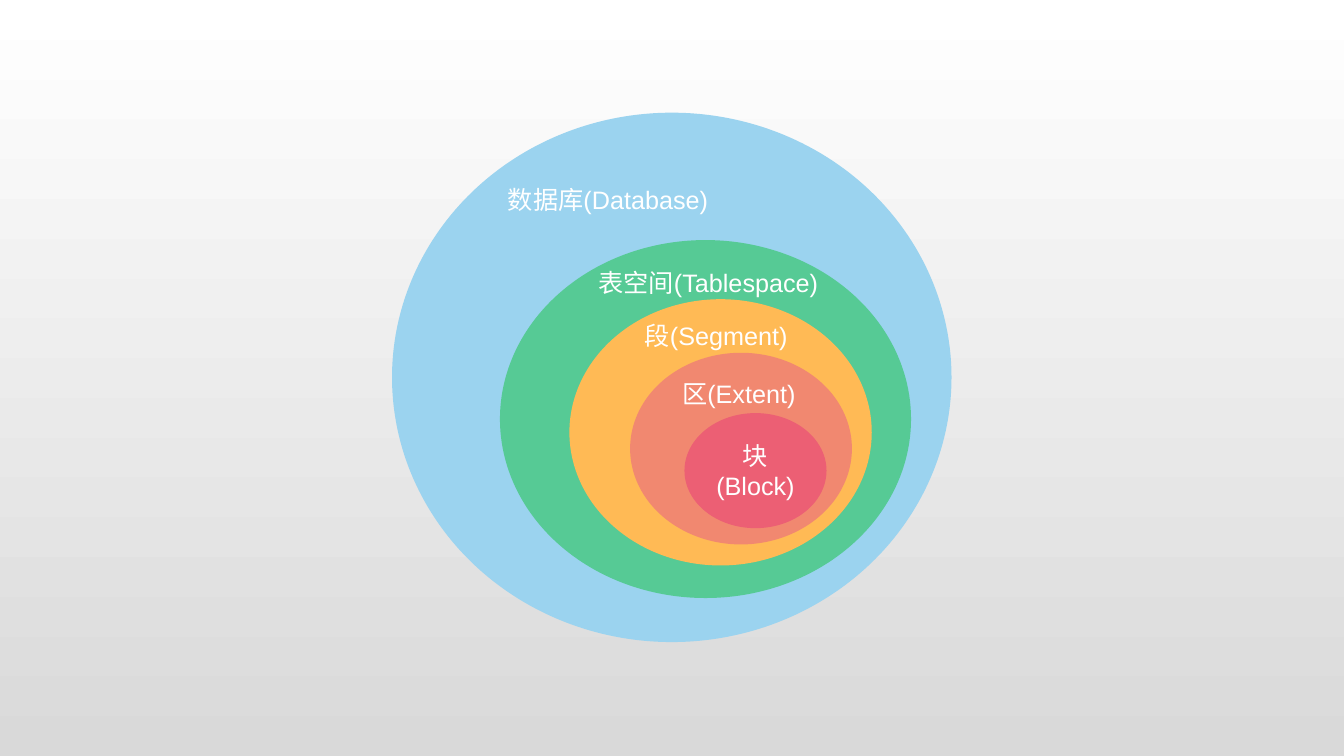
import dataclasses

import pptx
import pptx.dml.color
import pptx.enum.shapes
import pptx.enum.text
import pptx.util

Cm = pptx.util.Cm


@dataclasses.dataclass(frozen=True)
class Theme:
    font: str = "Arial"
    size: int = 18
    text: str = "FFFFFF"
    top: str = "FFFFFF"
    base: str = "D9D9D9"
    data: str = "9BD3EF"
    space: str = "56CA95"
    segment: str = "FFBA55"
    extent: str = "F18870"
    block: str = "EC5F74"


THEME = Theme()

# Nested storage levels, outermost first: colour, left, top, width, height in cm
RINGS = [
    (THEME.data, 9.88, 2.84, 14.1, 13.34),
    (THEME.space, 12.6, 6.05, 10.36, 9.02),
    (THEME.segment, 14.35, 7.54, 7.62, 6.71),
    (THEME.extent, 15.88, 8.89, 5.59, 4.83),
    (THEME.block, 17.25, 10.41, 3.58, 2.9),
]

# Level names: text, left, top, width in cm
LABELS = [
    ("区(Extent)", 16.94, 9.4, 3.43),
    ("段(Segment)", 16, 7.95, 4.37),
    ("表空间(Tablespace)", 14.83, 6.6, 6.6),
    ("数据库(Database)", 12.55, 4.52, 5.87),
]
LABEL_HEIGHT = 1.02


def tint(code):
    return pptx.dml.color.RGBColor.from_string(code)


def paint_back(slide):
    fill = slide.background.fill
    fill.gradient()
    fill.gradient_angle = 270
    for stop, code, spot in zip(fill.gradient_stops, (THEME.top, THEME.base), (0, 1)):
        stop.color.rgb = tint(code)
        stop.position = spot


def write(shape, text):
    frame = shape.text_frame
    frame.word_wrap = True
    frame.text = text
    font = frame.paragraphs[0].runs[0].font
    font.name = THEME.font
    font.size = pptx.util.Pt(THEME.size)
    font.color.rgb = tint(THEME.text)
    return frame


def add_ring(slide, code, *box):
    oval = pptx.enum.shapes.MSO_SHAPE.OVAL
    ring = slide.shapes.add_shape(oval, *map(Cm, box))
    ring.shadow.inherit = False
    ring.fill.solid()
    ring.fill.fore_color.rgb = tint(code)
    ring.line.fill.background()
    return ring


def add_label(slide, text, left, top, width):
    box = slide.shapes.add_textbox(*map(Cm, (left, top, width, LABEL_HEIGHT)))
    frame = write(box, text)
    frame.auto_size = pptx.enum.text.MSO_AUTO_SIZE.SHAPE_TO_FIT_TEXT


def main():
    deck = pptx.Presentation()
    deck.slide_width, deck.slide_height = Cm(33.87), Cm(19.05)
    slide = deck.slides.add_slide(deck.slide_layouts[6])
    paint_back(slide)

    # Ovals, with the name of the innermost level inside it
    rings = [add_ring(slide, *ring) for ring in RINGS]
    frame = write(rings[-1], "块(Block)")
    frame.vertical_anchor = pptx.enum.text.MSO_ANCHOR.MIDDLE
    frame.paragraphs[0].alignment = pptx.enum.text.PP_ALIGN.CENTER

    # Names of the outer levels
    for label in LABELS:
        add_label(slide, *label)

    deck.save("out.pptx")


main()
